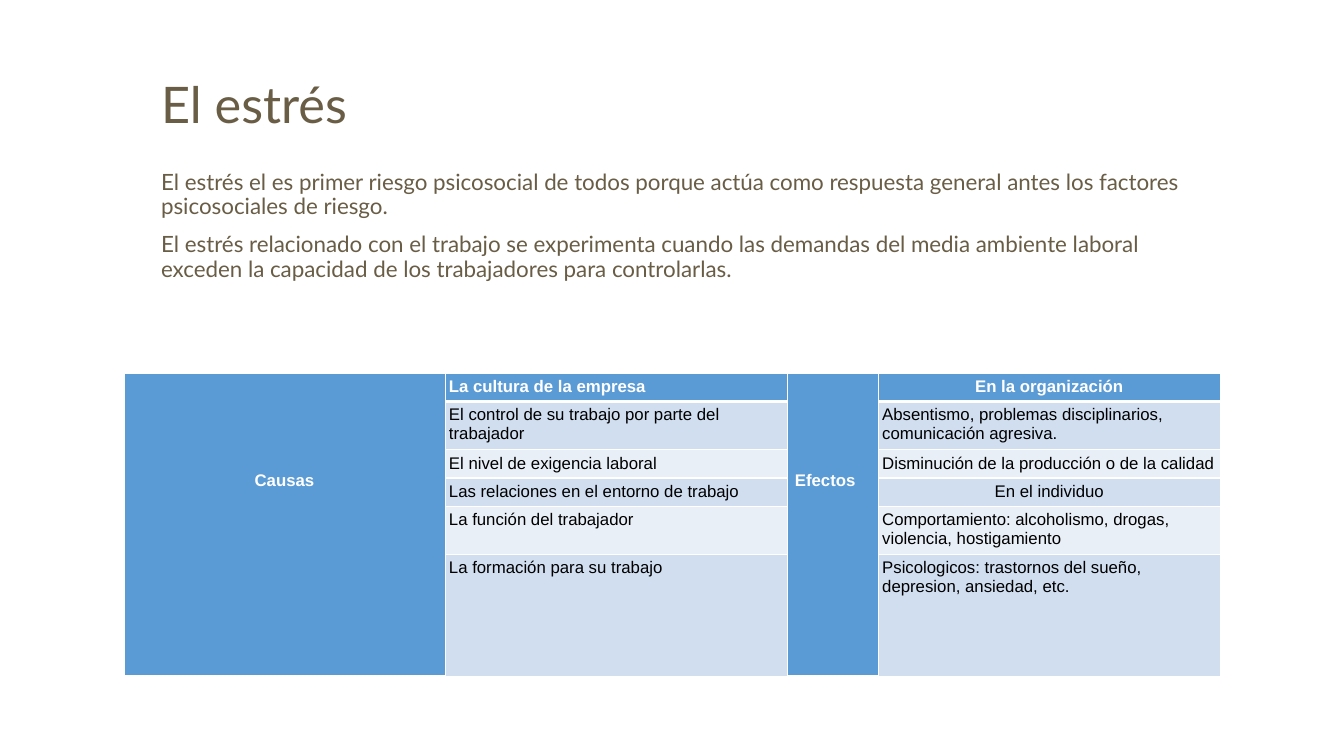
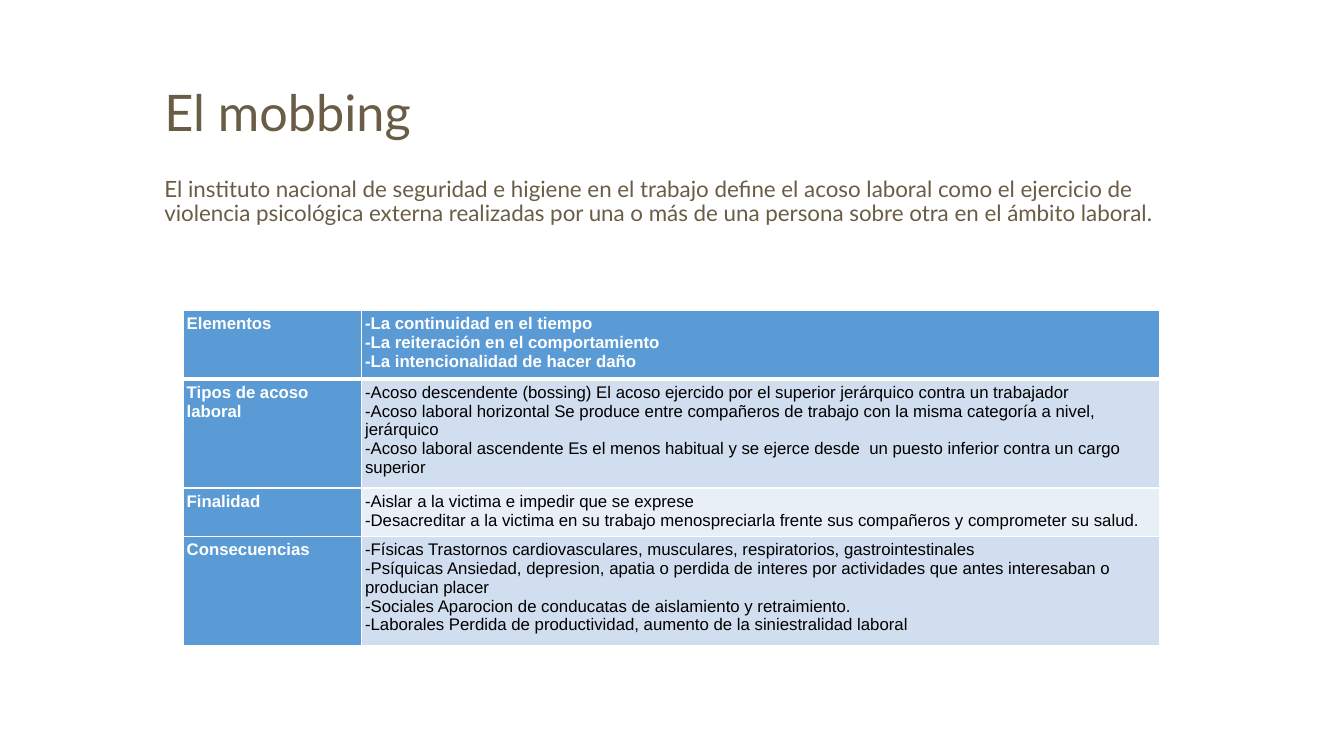
import pptx
import pptx.dml.color
import pptx.enum.text
import pptx.oxml
import pptx.oxml.ns
import pptx.util

Pt = pptx.util.Pt
ALIGN = pptx.enum.text.PP_ALIGN

COLORS = {
    "text": "695D46",
    "header": "5B9BD5",
    "band_dark": "D0DEEF",
    "band_light": "E9EFF7",
    "white": "FFFFFF",
    "black": "000000",
}
HEADING_FONT, TABLE_FONT = "Lato", "Arial"
TEXT_LEFT, TEXT_WIDTH = 108, 756
CELL_LEFT, CELL_MARGIN = 2.4, 2.88
LINE_HEIGHT = 13.4
LABEL_TOP = 5 * LINE_HEIGHT + CELL_MARGIN

# Each table row holds its cells as lists of lines; None continues a merged cell.
SLIDES = [
    {
        "title": "El estrés",
        "inset": (7.2, 3.6),
        "body": [
            "El estrés el es primer riesgo psicosocial de todos porque actúa como "
            "respuesta general antes los factores psicosociales de riesgo.",
            "El estrés relacionado con el trabajo se experimenta cuando las demandas "
            "del media ambiente laboral exceden la capacidad de los trabajadores "
            "para controlarlas.",
        ],
        "body_top": 118.8,
        "table_at": (88.6, 266.6),
        "columns": [229.7, 244, 65.5, 244],
        "row_lines": [1, 2, 1, 1, 2, 6],
        "label_columns": {0: CELL_LEFT, 2: 5.5},
        "merged": True,
        "centered": {(0, 0), (0, 3), (3, 3)},
        "rows": [
            [["Causas"], ["La cultura de la empresa"],
             ["Efectos"], ["En la organización"]],
            [None, ["El control de su trabajo por parte del trabajador"],
             None, ["Absentismo, problemas disciplinarios, comunicación agresiva."]],
            [None, ["El nivel de exigencia laboral"],
             None, ["Disminución de la producción o de la calidad"]],
            [None, ["Las relaciones en el entorno de trabajo"],
             None, ["En el individuo"]],
            [None, ["La función del trabajador"],
             None, ["Comportamiento: alcoholismo, drogas, violencia, hostigamiento"]],
            [None, ["La formación para su trabajo"],
             None, ["Psicologicos: trastornos del sueño, depresion, ansiedad, etc."]],
        ],
    },
    {
        "title": "El mobbing",
        "inset": (9.36, 9.36),
        "body": [
            "El instituto nacional de seguridad e higiene en el trabajo define el "
            "acoso laboral como el ejercicio de violencia psicológica externa "
            "realizadas por una o más de una persona sobre otra en el ámbito laboral.",
        ],
        "body_top": 118.1,
        "table_at": (131, 221.8),
        "columns": [127.4, 570.2],
        "row_lines": [3, 5, 2, 5],
        "label_columns": {0: CELL_LEFT},
        "merged": False,
        "centered": set(),
        "rows": [
            [["Elementos"],
             ["-La continuidad en el tiempo",
              "-La reiteración en el comportamiento",
              "-La intencionalidad de hacer daño"]],
            [["Tipos de acoso laboral"],
             ["-Acoso descendente (bossing) El acoso ejercido por el superior "
              "jerárquico contra un trabajador",
              "-Acoso laboral horizontal Se produce entre compañeros de trabajo con "
              "la misma categoría a nivel, jerárquico",
              "-Acoso laboral ascendente Es el menos habitual y se ejerce desde  un "
              "puesto inferior contra un cargo superior"]],
            [["Finalidad"],
             ["-Aislar a la victima e impedir que se exprese",
              "-Desacreditar a la victima en su trabajo menospreciarla frente sus "
              "compañeros y comprometer su salud."]],
            [["Consecuencias"],
             ["-Físicas Trastornos cardiovasculares, musculares, respiratorios, "
              "gastrointestinales",
              "-Psíquicas Ansiedad, depresion, apatia o perdida de interes por "
              "actividades que antes interesaban o producian placer",
              "-Sociales Aparocion de conducatas de aislamiento y retraimiento.",
              "-Laborales Perdida de productividad, aumento de la siniestralidad "
              "laboral"]],
        ],
    },
]


def rgb(name):
    return pptx.dml.color.RGBColor.from_string(COLORS[name])


def style_runs(paragraph, font_name, size, color, bold=False):
    for run in paragraph.runs:
        run.font.name = font_name
        run.font.size = Pt(size)
        run.font.bold = bold
        run.font.color.rgb = rgb(color)


def add_text(slide, lines, top, height, inset, size, line_spacing):
    box = slide.shapes.add_textbox(
        Pt(TEXT_LEFT), Pt(top), Pt(TEXT_WIDTH), Pt(height))
    frame = box.text_frame
    frame.word_wrap = True
    frame.margin_left = frame.margin_right = Pt(inset[0])
    frame.margin_top = frame.margin_bottom = Pt(inset[1])
    frame.text = "\n".join(lines)
    for index, paragraph in enumerate(frame.paragraphs):
        paragraph.line_spacing = line_spacing
        paragraph.space_before = Pt(10 if index else 0)
        style_runs(paragraph, HEADING_FONT, size, "text")


def add_borders(cell, row):
    """White cell edges, with a thick one under the first row."""
    widths = {"L": 1, "R": 1, "T": 3 if row == 1 else 1, "B": 1 if row else 3}
    properties = cell._tc.get_or_add_tcPr()
    for side, width in widths.items():
        properties.append(pptx.oxml.parse_xml(
            f'<a:ln{side} {pptx.oxml.ns.nsdecls("a")} w="{Pt(width)}">'
            f'<a:solidFill><a:srgbClr val="{COLORS["white"]}"/></a:solidFill>'
            f'</a:ln{side}>'))


def fill_cell(cell, row, column, lines, content):
    is_label = column in content["label_columns"]
    is_header = row == 0 or is_label
    add_borders(cell, row)
    cell.fill.solid()
    band = "band_dark" if row % 2 else "band_light"
    cell.fill.fore_color.rgb = rgb("header" if is_header else band)
    cell.margin_left = Pt(content["label_columns"].get(column, CELL_LEFT))
    cell.margin_right = cell.margin_top = cell.margin_bottom = Pt(CELL_MARGIN)
    if lines is None:
        return
    if is_label and content["merged"]:
        cell.margin_top = Pt(LABEL_TOP)
    cell.text_frame.text = "\n".join(lines)
    for paragraph in cell.text_frame.paragraphs:
        centered = (row, column) in content["centered"]
        paragraph.alignment = ALIGN.CENTER if centered else ALIGN.LEFT
        style_runs(paragraph, TABLE_FONT, 12,
                   "white" if is_header else "black", is_header)


def add_table(slide, content):
    rows, columns = content["rows"], content["columns"]
    heights = [count * LINE_HEIGHT + 2 * CELL_MARGIN
               for count in content["row_lines"]]
    left, top = content["table_at"]
    table = slide.shapes.add_table(
        len(rows), len(columns), Pt(left), Pt(top),
        Pt(sum(columns)), Pt(sum(heights))).table
    for column, width in zip(table.columns, columns):
        column.width = Pt(width)
    for row, height in zip(table.rows, heights):
        row.height = Pt(height)
    for row, cells in enumerate(rows):
        for column, lines in enumerate(cells):
            fill_cell(table.cell(row, column), row, column, lines, content)
    if content["merged"]:
        for column in content["label_columns"]:
            table.cell(0, column).merge(table.cell(len(rows) - 1, column))


def main():
    presentation = pptx.Presentation()
    presentation.slide_width, presentation.slide_height = Pt(960), Pt(540)
    for content in SLIDES:
        slide = presentation.slides.add_slide(presentation.slide_layouts[6])
        add_text(slide, [content["title"]], 54, 58.3, content["inset"], 36, 0.89)
        add_text(slide, content["body"], content["body_top"], 344,
                 content["inset"], 16, 0.9)
        add_table(slide, content)
    presentation.save("out.pptx")


if __name__ == "__main__":
    main()
